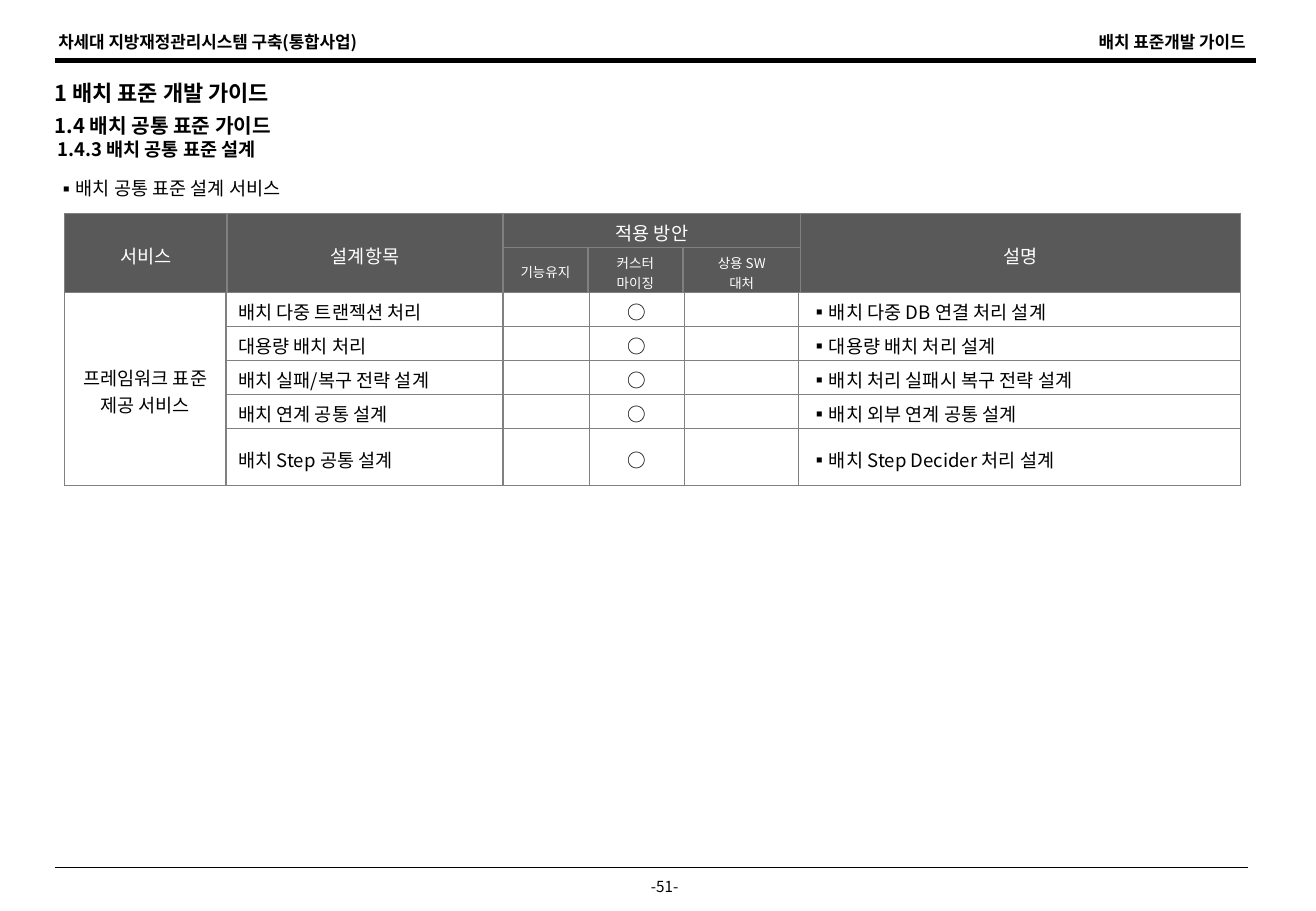
from lxml import etree
from pptx import Presentation
from pptx import util as u
from pptx.dml.color import RGBColor
from pptx.enum import shapes, text
from pptx.oxml.ns import qn

FONT = "Noto Sans CJK KR"
BLACK = RGBColor(0, 0, 0)
WHITE = RGBColor(255, 255, 255)
DARK = RGBColor(0x59, 0x59, 0x59)
GRAY = RGBColor(0x80, 0x80, 0x80)
LEFT, MID, RIGHT = text.PP_ALIGN.LEFT, text.PP_ALIGN.CENTER, text.PP_ALIGN.RIGHT

HEAD = [
    ["서비스", "설계항목", "적용 방안", "", "", "설명"],
    ["", "", "기능유지", "커스터\n마이징", "상용 SW\n대처", ""],
]
ITEMS = [
    ("배치 다중 트랜젝션 처리", "배치 다중 DB 연결 처리 설계"),
    ("대용량 배치 처리", "대용량 배치 처리 설계"),
    ("배치 실패/복구 전략 설계", "배치 처리 실패시 복구 전략 설계"),
    ("배치 연계 공통 설계", "배치 외부 연계 공통 설계"),
    ("배치 Step 공통 설계", "배치 Step Decider 처리 설계"),
]


def add_run(para, words, size, color=BLACK, bold=False):
    """Add one styled run to a paragraph."""
    run = para.add_run()
    run.text = words
    font = run.font
    font.name, font.size, font.bold = FONT, u.Pt(size), bold
    font.color.rgb = color
    etree.SubElement(run._r.get_or_add_rPr(), qn("a:ea"), typeface=FONT)


def add_mark(para, hang):
    """Give a paragraph a square bullet with a hanging indent in inches."""
    props = para._p.get_or_add_pPr()
    props.set("marL", str(u.Inches(hang)))
    props.set("indent", str(-u.Inches(hang)))
    etree.SubElement(props, qn("a:buFont"), typeface=FONT)
    etree.SubElement(props, qn("a:buChar"), char="▪")


def add_label(slide, box, words, size, align=LEFT, bold=True, hang=0):
    """Place one line of text, centred in the height of its box."""
    frame = slide.shapes.add_textbox(*map(u.Inches, box)).text_frame
    frame.word_wrap = True
    frame.vertical_anchor = text.MSO_ANCHOR.MIDDLE
    frame.margin_left = frame.margin_right = 0
    frame.margin_top = frame.margin_bottom = 0
    para = frame.paragraphs[0]
    para.alignment = align
    if hang:
        add_mark(para, hang)
    add_run(para, words, size, bold=bold)


def add_rule(slide, left, top, width, weight):
    """Draw a black horizontal rule."""
    ends = map(u.Inches, (left, top, left + width, top))
    rule = slide.shapes.add_connector(shapes.MSO_CONNECTOR.STRAIGHT, *ends)
    rule.line.color.rgb = BLACK
    rule.line.width = u.Pt(weight)
    etree.SubElement(rule._element.spPr, qn("a:effectLst"))


def add_edges(cell, weight):
    """Draw the four borders of a cell."""
    props = cell._tc.get_or_add_tcPr()
    for spot, side in enumerate(("lnL", "lnR", "lnT", "lnB")):
        line = etree.Element(qn("a:" + side), w=str(u.Pt(weight)))
        fill = etree.SubElement(line, qn("a:solidFill"))
        etree.SubElement(fill, qn("a:srgbClr"), val=str(GRAY))
        props.insert(spot, line)


def fill_cell(cell, words, size, color, align, hang=0):
    """Write the lines of a cell and set its margins."""
    cell.vertical_anchor = text.MSO_ANCHOR.MIDDLE
    cell.margin_top, cell.margin_bottom = u.Inches(0.04), u.Inches(0.01)
    frame = cell.text_frame
    for count, line in enumerate(words.split("\n")):
        para = frame.add_paragraph() if count else frame.paragraphs[0]
        para.alignment = align
        if hang:
            add_mark(para, hang)
        if line:
            add_run(para, line, size, color)
        else:
            etree.SubElement(para._p, qn("a:endParaRPr"), sz=str(size * 100))


def add_grid(slide, left, top, cols, rows, fill, weight):
    """Add an empty table with plain fill and gray borders."""
    box = map(u.Inches, (left, top, sum(cols), sum(rows)))
    grid = slide.shapes.add_table(len(rows), len(cols), *box).table
    grid.first_row = grid.horz_banding = False
    for col, width in zip(grid.columns, cols):
        col.width = u.Inches(width)
    for row, height in zip(grid.rows, rows):
        row.height = u.Inches(height)
    for cell in grid.iter_cells():
        cell.fill.solid()
        cell.fill.fore_color.rgb = fill
        add_edges(cell, weight)
    return grid


def add_head(slide, left, top):
    """Build the dark two-row heading of the service table."""
    cols = [1.34, 2.27, 0.7, 0.78, 0.97, 3.62]
    grid = add_grid(slide, left, top, cols, [0.28, 0.37], DARK, 1)
    for row, names in enumerate(HEAD):
        for col, name in enumerate(names):
            fill_cell(grid.cell(row, col), name, 8 if row else 11, WHITE, MID)
    for col in (0, 1, 5):
        grid.cell(0, col).merge(grid.cell(1, col))
    grid.cell(0, 2).merge(grid.cell(0, 4))


def add_body(slide, left, top):
    """Build the rows of design items."""
    cols = [1.33, 2.28, 0.71, 0.78, 0.94, 3.64]
    grid = add_grid(slide, left, top, cols, [0.28] * 4 + [0.47], WHITE, 0.75)
    for row, (item, note) in enumerate(ITEMS):
        group = "" if row else "프레임워크 표준 제공 서비스"
        for col, words in enumerate((group, item, "", "○", "", note)):
            align = LEFT if col in (1, 5) else MID
            hang = 0.09 if col == 5 else 0
            fill_cell(grid.cell(row, col), words, 11, BLACK, align, hang)
    grid.cell(0, 0).merge(grid.cell(4, 0))


def add_frame(slide, left, top, width, height):
    """Place the running heads, rules and page number."""
    add_label(slide, (left + 0.03, top, 4, 0.27), "차세대 지방재정관리시스템 구축(통합사업)", 10)
    add_label(slide, (left + width - 3.09, top, 3, 0.27), "배치 표준개발 가이드", 10, RIGHT)
    add_rule(slide, left, top + 0.29, width, 2.75)
    add_rule(slide, left, top + height - 0.28, width - 0.07, 0.75)
    add_label(slide, (left + 4.52, top + height - 0.25, 1, 0.25), "-51-", 9, MID, False)


def add_titles(slide, left, top):
    """Stack the three headings and the lead line."""
    add_label(slide, (left, top, 7, 0.2), "1 배치 표준 개발 가이드", 13)
    add_label(slide, (left, top + 0.27, 7, 0.2), "1.4 배치 공통 표준 가이드", 12)
    add_label(slide, (left + 0.02, top + 0.47, 7, 0.2), "1.4.3 배치 공통 표준 설계", 11)
    add_label(slide, (left + 0.02, top + 0.79, 7, 0.2), "배치 공통 표준 설계 서비스", 11,
              bold=False, hang=0.14)


def main():
    """Build the slide and save it."""
    deck = Presentation()
    deck.slide_width, deck.slide_height = u.Inches(10.83), u.Inches(7.5)
    slide = deck.slides.add_slide(deck.slide_layouts[6])
    add_frame(slide, 0.45, 0.21, 9.89, 7.21)
    add_titles(slide, 0.45, 0.66)
    add_body(slide, 0.53, 2.41)
    add_head(slide, 0.53, 1.76)
    deck.save("out.pptx")


if __name__ == "__main__":
    main()
